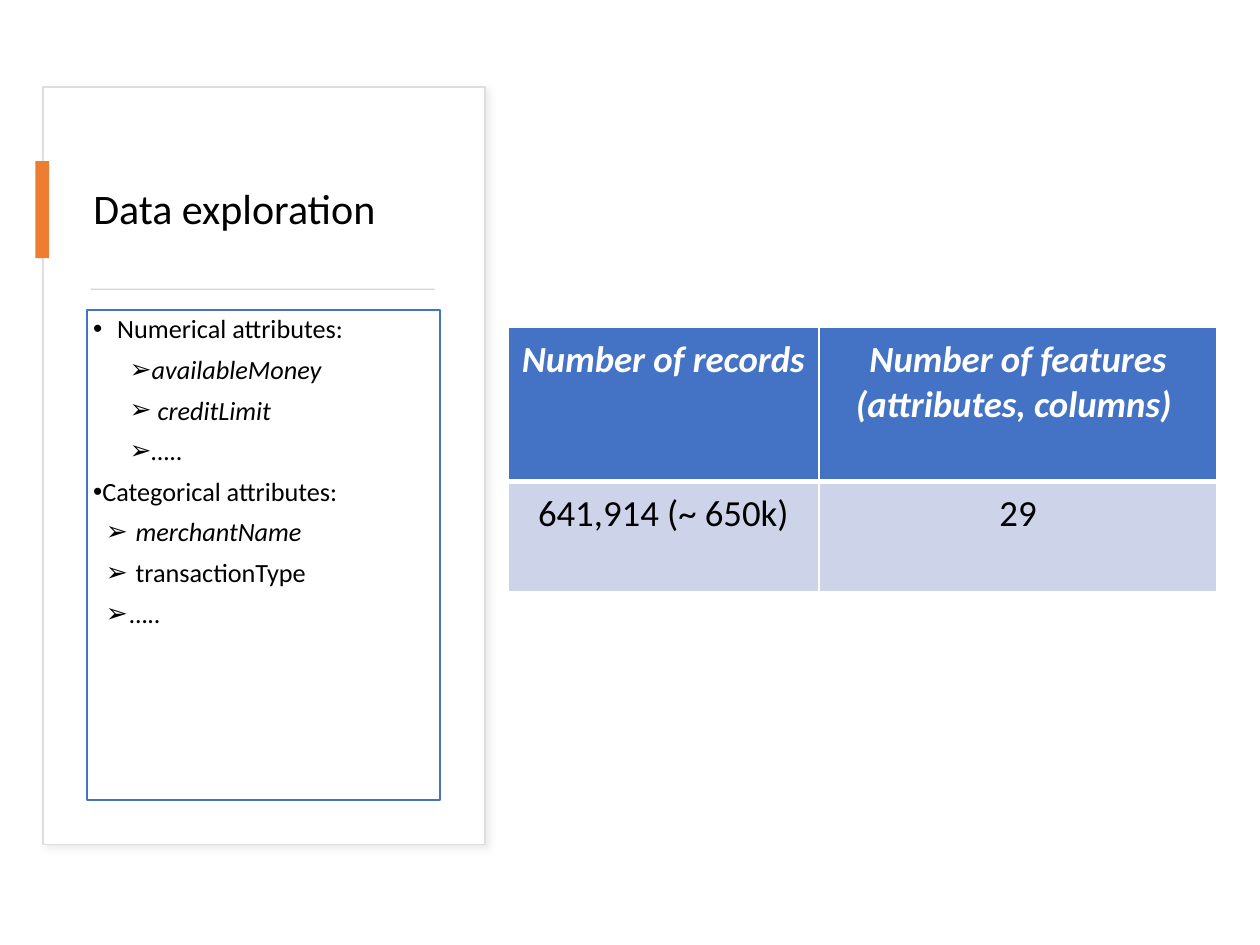
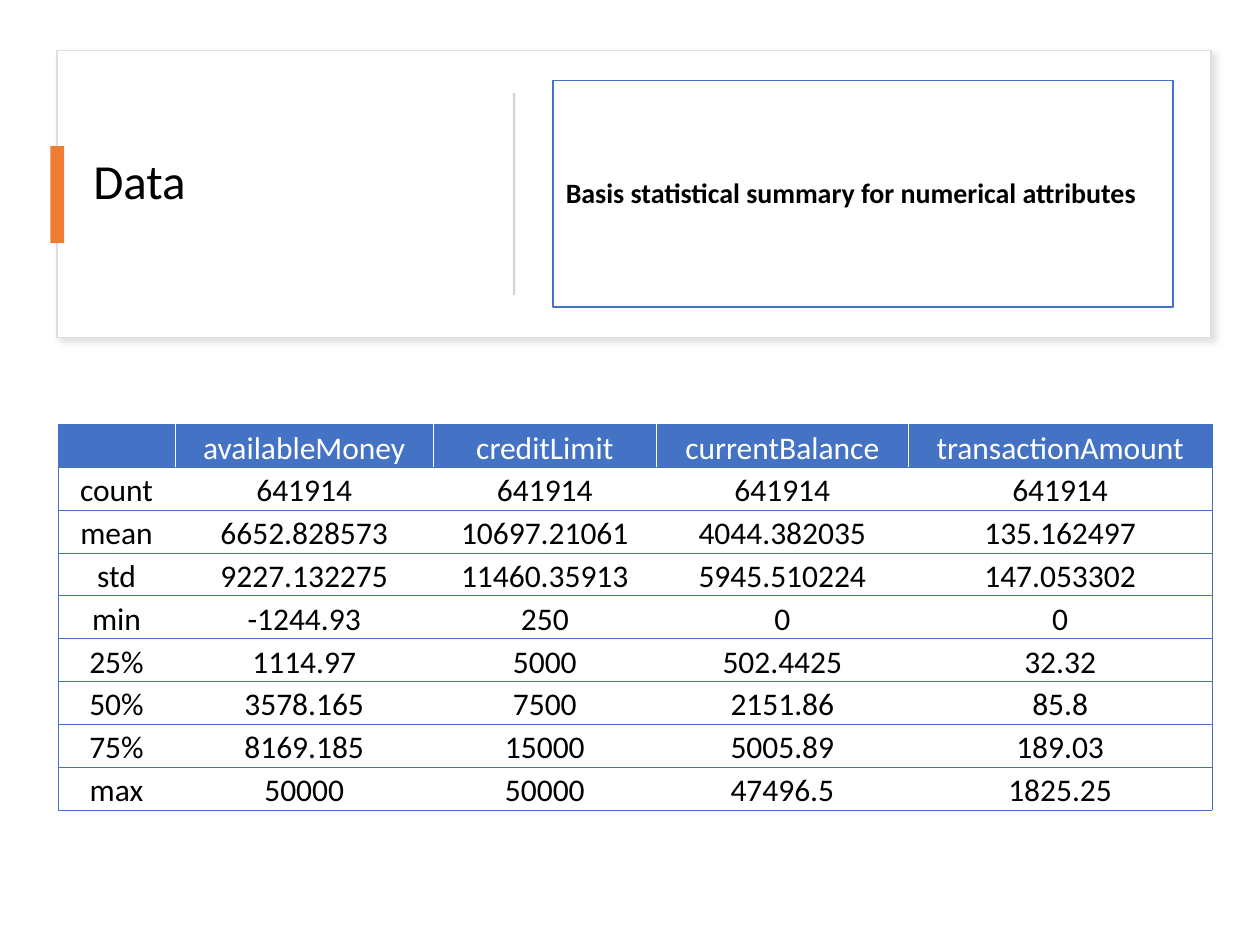
from dataclasses import dataclass

from lxml import etree
from pptx import Presentation
from pptx.dml.color import RGBColor
from pptx.enum.shapes import MSO_SHAPE as Preset
from pptx.enum.text import MSO_ANCHOR as Anchor, MSO_AUTO_SIZE as AutoSize, PP_ALIGN as Align
from pptx.oxml.ns import qn
from pptx.util import Inches, Pt


@dataclass(frozen=True)
class Theme:
    font: str = "Calibri"
    text: str = "000000"
    white: str = "FFFFFF"
    blue: str = "4472C4"
    pale_blue: str = "CDD4EA"
    orange: str = "ED7D31"
    rule: str = "D5D5D5"
    card_line: str = "DEDEDE"
    list_size: float = 15
    summary_size: float = 16
    statistics_size: float = 18
    overview_size: float = 21
    text_inset: float = 0.05


THEME = Theme()

# Each entry: text, bullet, left margin, first-line indent, italic
ATTRIBUTES = [
    ("Numerical attributes:", "•", 0.19, -0.19, False),
    ("availableMoney", "➢", 0.46, -0.17, True),
    (" creditLimit", "➢", 0.46, -0.17, True),
    ("…..", "➢", 0.46, -0.17, True),
    ("Categorical attributes:", "•", 0.01, -0.19, False),
    (" merchantName", "➢", 0.29, -0.19, True),
    (" transactionType", "➢", 0.29, -0.19, False),
    ("…..", "➢", 0.29, -0.19, True),
]

OVERVIEW = [
    ["Number of records ", "Number of features (attributes, columns) "],
    ["641,914 (~ 650k)", "29"],
]

STATISTICS = [
    ["", "availableMoney", "creditLimit", "currentBalance", "transactionAmount"],
    ["count", "641914", "641914", "641914", "641914"],
    ["mean", "6652.828573", "10697.21061", "4044.382035", "135.162497"],
    ["std", "9227.132275", "11460.35913", "5945.510224", "147.053302"],
    ["min", "-1244.93", "250", "0", "0"],
    ["25%", "1114.97", "5000", "502.4425", "32.32"],
    ["50%", "3578.165", "7500", "2151.86", "85.8"],
    ["75%", "8169.185", "15000", "5005.89", "189.03"],
    ["max", "50000", "50000", "47496.5", "1825.25"],
]


def rgb(color):
    return RGBColor.from_string(color)


def format_runs(paragraph, size, color=THEME.text, bold=False, italic=False):
    for run in paragraph.runs:
        run.font.name = THEME.font
        run.font.size = Pt(size)
        run.font.color.rgb = rgb(color)
        run.font.bold = bold
        run.font.italic = italic


def format_frame(text_frame, anchor):
    text_frame.word_wrap = True
    text_frame.auto_size = AutoSize.NONE
    text_frame.vertical_anchor = anchor
    inset = Inches(THEME.text_inset)
    text_frame.margin_left = text_frame.margin_right = inset
    text_frame.margin_top = text_frame.margin_bottom = inset


def format_paragraph(paragraph, space_before=0):
    paragraph.alignment = Align.LEFT
    paragraph.line_spacing = 0.9
    paragraph.space_before = Pt(space_before)


def add_rectangle(slide, box, fill, line=None, line_width=1):
    shape = slide.shapes.add_shape(Preset.RECTANGLE, *map(Inches, box))
    shape.shadow.inherit = False
    shape.fill.solid()
    shape.fill.fore_color.rgb = rgb(fill)
    if line:
        shape.line.color.rgb = rgb(line)
        shape.line.width = Pt(line_width)
    else:
        shape.line.fill.background()
    return shape


def add_shadow(shape, color):
    """Give the shape a soft, half transparent shadow to the lower right."""
    effects = shape.element.spPr.find(qn("a:effectLst"))
    shadow = etree.SubElement(effects, qn("a:outerShdw"), blurRad=str(Pt(4)),
                              dist=str(Pt(3)), dir=str(45 * 60000), algn="tl")
    shadow_color = etree.SubElement(shadow, qn("a:srgbClr"), val=color)
    etree.SubElement(shadow_color, qn("a:alpha"), val="50000")


def add_title_card(slide, card_box, line_width, shadow, title, title_box, title_size,
                   accent_at, rule_box):
    """Add the framed card with its title, orange accent and dividing rule."""
    card = add_rectangle(slide, card_box, THEME.white, THEME.card_line, line_width)
    add_shadow(card, shadow)

    placeholder = slide.shapes.title
    card.element.addnext(placeholder.element)
    left, top, width, height = map(Inches, title_box)
    placeholder.left, placeholder.top = left, top
    placeholder.width, placeholder.height = width, height
    placeholder.text_frame.text = title
    format_frame(placeholder.text_frame, Anchor.MIDDLE)
    paragraph = placeholder.text_frame.paragraphs[0]
    format_paragraph(paragraph)
    format_runs(paragraph, title_size)

    add_rectangle(slide, (*accent_at, 0.11, 0.77), THEME.orange)
    add_rectangle(slide, rule_box, THEME.rule)


def add_framed_text(slide, box, anchor):
    frame = add_rectangle(slide, box, THEME.white, THEME.blue).text_frame
    format_frame(frame, anchor)
    return frame


def set_bullet(paragraph, symbol, margin, indent):
    properties = paragraph._p.get_or_add_pPr()
    properties.set("marL", str(Inches(margin)))
    properties.set("indent", str(Inches(indent)))
    etree.SubElement(properties, qn("a:buFont"), typeface="Arial")
    etree.SubElement(properties, qn("a:buChar"), char=symbol)


def add_attribute_list(slide, box):
    frame = add_framed_text(slide, box, Anchor.TOP)
    for index, (text, symbol, margin, indent, italic) in enumerate(ATTRIBUTES):
        paragraph = frame.add_paragraph() if index else frame.paragraphs[0]
        paragraph.text = text
        format_paragraph(paragraph, space_before=7)
        set_bullet(paragraph, symbol, margin, indent)
        format_runs(paragraph, THEME.list_size, italic=italic)


def add_summary(slide, box, text):
    frame = add_framed_text(slide, box, Anchor.MIDDLE)
    frame.text = text
    format_paragraph(frame.paragraphs[0], space_before=7)
    format_runs(frame.paragraphs[0], THEME.summary_size, bold=True)


def set_borders(cell, **borders):
    """Draw the sides L, R, T and B, each given as (colour, width)."""
    properties = cell._tc.get_or_add_tcPr()
    for position, side in enumerate("LRTB"):
        color, width = borders[side]
        line = etree.Element(qn(f"a:ln{side}"), w=str(Pt(width)))
        fill = etree.SubElement(line, qn("a:solidFill"))
        etree.SubElement(fill, qn("a:srgbClr"), val=color)
        properties.insert(position, line)


def add_table(slide, position, widths, heights, rows, size, body_fill, inset, anchor,
              borders, emphasize_header=False):
    """Add a centred table; borders(row, column) gives the four sides of a cell."""
    box = (*position, sum(widths), sum(heights))
    table = slide.shapes.add_table(len(rows), len(widths), *map(Inches, box)).table
    table.horz_banding = False
    for column, width in zip(table.columns, widths):
        column.width = Inches(width)
    for row, height in zip(table.rows, heights):
        row.height = Inches(height)
    for row_index, row in enumerate(rows):
        is_header = row_index == 0
        emphasis = is_header and emphasize_header
        for column_index, text in enumerate(row):
            cell = table.cell(row_index, column_index)
            cell.margin_left = cell.margin_right = Inches(inset)
            cell.margin_top = cell.margin_bottom = Inches(inset)
            cell.vertical_anchor = anchor
            cell.fill.solid()
            cell.fill.fore_color.rgb = rgb(THEME.blue if is_header else body_fill)
            set_borders(cell, **borders(row_index, column_index))
            if text:
                cell.text_frame.text = text
                paragraph = cell.text_frame.paragraphs[0]
                paragraph.alignment = Align.CENTER
                format_runs(paragraph, size, THEME.white if is_header else THEME.text,
                            bold=emphasis, italic=emphasis)


def overview_borders(row, column):
    thin, thick = (THEME.white, 1), (THEME.white, 3)
    return {"L": thin, "R": thin, "T": thick if row else thin, "B": thin if row else thick}


def statistics_borders(row, column):
    edge, inner = (THEME.blue, 0.5), (THEME.white, 0.5)
    last_column = len(STATISTICS[0]) - 1
    return {"L": inner if column else edge, "R": edge if column == last_column else inner,
            "T": edge, "B": edge}


def build_exploration_slide(slide):
    add_title_card(slide, (0.34, 0.69, 3.51, 6.01), 0.75, "D9D9D9",
                   "Data exploration", (0.69, 1.07, 2.8, 1.21), 24,
                   accent_at=(0.28, 1.28), rule_box=(0.72, 2.29, 2.73, 0.01))
    add_attribute_list(slide, (0.69, 2.46, 2.8, 3.89))
    add_table(slide, (4.03, 2.6), [2.47, 3.16], [1.22, 0.88], OVERVIEW,
              THEME.overview_size, THEME.pale_blue, 0.08, Anchor.TOP,
              overview_borders, emphasize_header=True)


def build_statistics_slide(slide):
    add_title_card(slide, (0.45, 0.4, 9.16, 2.28), 1, "C5C3C3",
                   "Data", (0.69, 1.07, 1.02, 0.77), 28,
                   accent_at=(0.4, 1.16), rule_box=(4.07, 0.74, 0.02, 1.6))
    add_summary(slide, (4.39, 0.64, 4.92, 1.8),
                " Basis statistical summary for numerical attributes")
    add_table(slide, (0.46, 3.37), [0.93, 2.05, 1.77, 2, 2.41], [0.34] * len(STATISTICS),
              STATISTICS, THEME.statistics_size, THEME.white, 0, Anchor.BOTTOM,
              statistics_borders)


def main():
    presentation = Presentation()
    presentation.slide_width = Inches(10)
    presentation.slide_height = Inches(7.5)
    title_only = presentation.slide_layouts[5]
    for build in (build_exploration_slide, build_statistics_slide):
        build(presentation.slides.add_slide(title_only))
    presentation.save("out.pptx")


if __name__ == "__main__":
    main()
